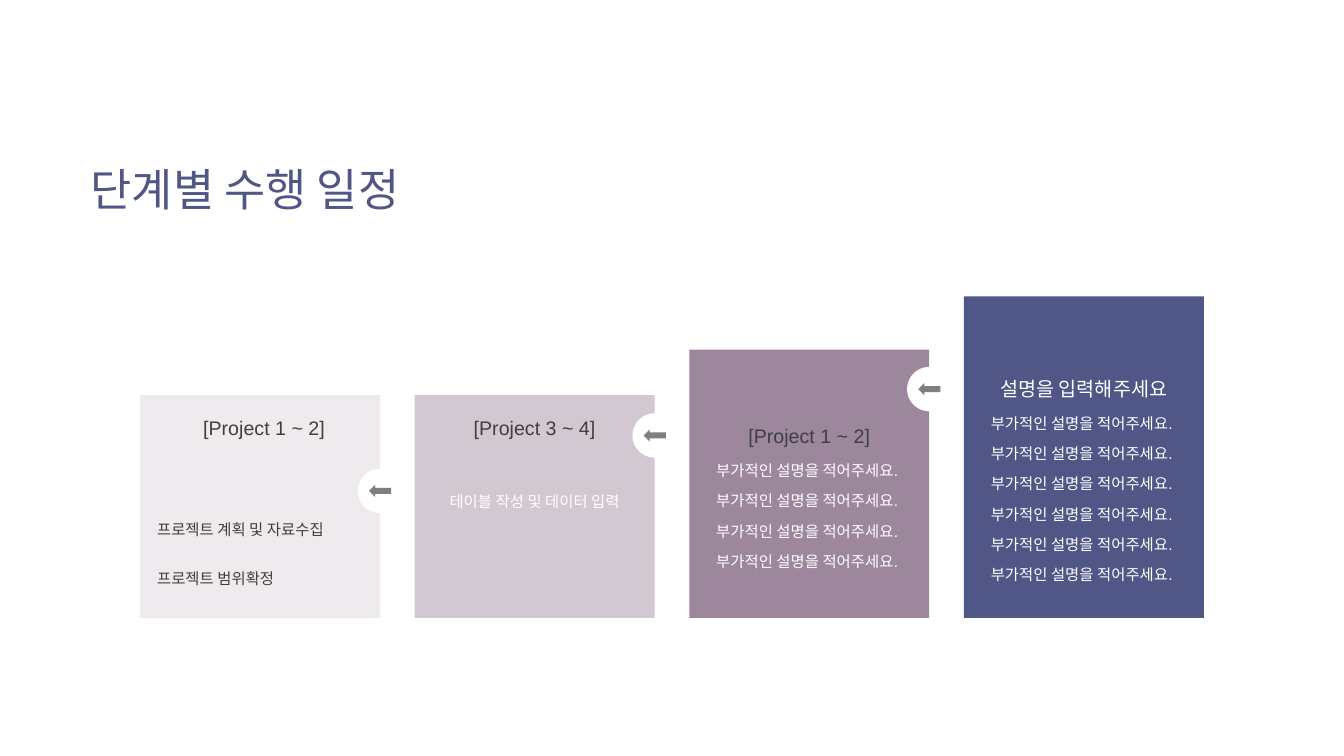
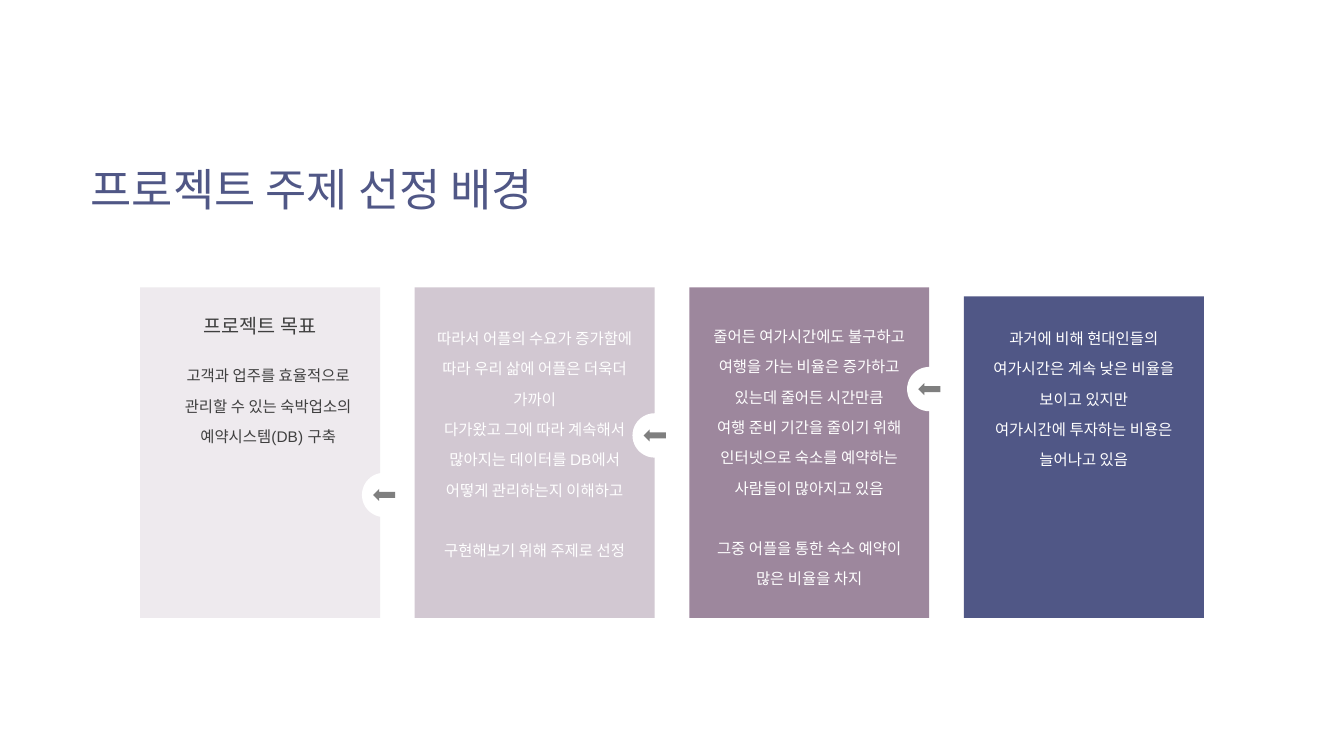
from dataclasses import dataclass

from pptx import Presentation
from pptx.dml.color import RGBColor
from pptx.enum.shapes import MSO_SHAPE
from pptx.enum.text import MSO_AUTO_SIZE, PP_ALIGN
from pptx.util import Inches, Pt

NAVY = RGBColor(0x50, 0x57, 0x86)
MAUVE = RGBColor(0x9D, 0x87, 0x9D)
LILAC = RGBColor(0xD2, 0xC8, 0xD2)
PALE = RGBColor(0xEE, 0xEA, 0xEE)
INK = RGBColor(0x3F, 0x3F, 0x3F)
GREY = RGBColor(0x7F, 0x7F, 0x7F)
WHITE = RGBColor(0xFF, 0xFF, 0xFF)
FONT = "Arial"

PAGE_WIDTH, PAGE_HEIGHT = 13.33, 7.5
GRID_LEFT, GRID_RIGHT, GRID_BOTTOM = 1.39, 11.94, 6.13
PANEL_WIDTH = 2.38
PANEL_FILLS = (PALE, LILAC, MAUVE, NAVY)
COLUMN_PITCH = (GRID_RIGHT - GRID_LEFT - PANEL_WIDTH) / (len(PANEL_FILLS) - 1)
HEADING_WIDTH, HEADING_HEIGHT = 1.86, 0.34
BODY_WIDTH = 2.24
BODY_HEIGHTS = (1.09, 1.09, 1.34, 1.85)
MARKER_SIZE = 0.44
ARROW_WIDTH, ARROW_HEIGHT = 0.22, 0.12

TIGHT, LOOSE = 1.29, 1.64
FILLER = "부가적인 설명을 적어주세요. "


@dataclass(frozen=True)
class Heading:
    text: str
    top: float
    color: RGBColor = INK
    shift: float = 0


@dataclass(frozen=True)
class Body:
    lines: tuple[str, ...]
    top: float
    color: RGBColor = WHITE
    shift: float = 0
    align: PP_ALIGN = PP_ALIGN.CENTER
    spacing: float = LOOSE
    last_gap: float = 0


@dataclass(frozen=True)
class Marker:
    top: float
    shift: float = 0


@dataclass(frozen=True)
class Panel:
    top: float
    body: Body
    heading: Heading | None = None
    marker: Marker | None = None


@dataclass(frozen=True)
class PageContent:
    title: str
    title_width: float
    panels: tuple[Panel, ...]


PAGES = (
    PageContent("단계별 수행 일정", 5.26, (
        Panel(3.92,
              Body(("프로젝트 계획 및 자료수집", "프로젝트 범위확정"), 5.06, INK,
                   align=PP_ALIGN.LEFT, spacing=TIGHT, last_gap=17.5),
              Heading("[Project 1 ~ 2]", 4.01, shift=0.04), Marker(4.65)),
        Panel(3.92, Body(("테이블 작성 및 데이터 입력",), 4.72),
              Heading("[Project 3 ~ 4]", 4.01), Marker(4.1)),
        Panel(3.47, Body((FILLER,) * 4, 4.41),
              Heading("[Project 1 ~ 2]", 4.09), Marker(3.64)),
        Panel(2.94, Body((FILLER,) * 6, 3.94),
              Heading("설명을 입력해주세요", 3.62, WHITE)),
    )),
    PageContent("프로젝트 주제 선정 배경", 7.14, (
        Panel(2.85,
              Body(("고객과 업주를 효율적으로 관리할 수 있는 숙박업소의 예약시스템(DB) 구축",),
                   3.47, INK, shift=0.08),
              Heading("프로젝트 목표", 3), Marker(4.69, 0.04)),
        Panel(2.85,
              Body(("따라서 어플의 수요가 증가함에 따라 우리 삶에 어플은 더욱더 가까이",
                    "다가왔고 그에 따라 계속해서 많아지는 데이터를 DB에서 어떻게 관리하는지 이해하고",
                    "구현해보기 위해 주제로 선정"), 3.1, last_gap=21.5),
              marker=Marker(4.1)),
        Panel(2.85,
              Body(("줄어든 여가시간에도 불구하고 여행을 가는 비율은 증가하고 있는데 줄어든 시간만큼",
                    "여행 준비 기간을 줄이기 위해 인터넷으로 숙소를 예약하는 사람들이 많아지고 있음",
                    "그중 어플을 통한 숙소 예약이 많은 비율을 차지"), 3.08, last_gap=21.5),
              marker=Marker(3.64)),
        Panel(2.94,
              Body(("과거에 비해 현대인들의 여가시간은 계속 낮은 비율을 보이고 있지만",
                    "여가시간에 투자하는 비용은 늘어나고 있음"), 3.1)),
    )),
)


def add_text(page, lines: tuple[str, ...], left: float, top: float,
             width: float, height: float, *, size: float, color: RGBColor,
             align: PP_ALIGN = PP_ALIGN.LEFT, spacing: float = 1,
             last_gap: float = 0, grow: bool = False) -> None:
    """Add a text box; last_gap is the space in points above the last line."""
    box = page.shapes.add_textbox(Inches(left), Inches(top), Inches(width), Inches(height))
    frame = box.text_frame
    frame.word_wrap = True
    frame.auto_size = MSO_AUTO_SIZE.SHAPE_TO_FIT_TEXT if grow else MSO_AUTO_SIZE.NONE
    for index, line in enumerate(lines):
        para = frame.add_paragraph() if index else frame.paragraphs[0]
        para.alignment = align
        para.line_spacing = spacing
        span = para.add_run()
        span.text = line
        span.font.name = FONT
        span.font.size = Pt(size)
        span.font.color.rgb = color
    if last_gap:
        para.space_before = Pt(last_gap)


def add_filled(shapes, kind: MSO_SHAPE, left: float, top: float,
               width: float, height: float, color: RGBColor):
    shape = shapes.add_shape(kind, Inches(left), Inches(top), Inches(width), Inches(height))
    shape.shadow.inherit = False
    shape.fill.solid()
    shape.fill.fore_color.rgb = color
    shape.line.fill.background()
    return shape


def panel_left(column: int) -> float:
    return GRID_LEFT + column * COLUMN_PITCH


def add_marker(page, column: int, marker: Marker) -> None:
    """Add a left-pointing arrow in a circle centred on the panel's right edge."""
    center = panel_left(column) + PANEL_WIDTH + marker.shift
    middle = marker.top + MARKER_SIZE / 2
    group = page.shapes.add_group_shape()
    add_filled(group.shapes, MSO_SHAPE.OVAL, center - MARKER_SIZE / 2, marker.top,
               MARKER_SIZE, MARKER_SIZE, WHITE)
    arrow = add_filled(group.shapes, MSO_SHAPE.RIGHT_ARROW, center - ARROW_WIDTH / 2,
                       middle - ARROW_HEIGHT / 2, ARROW_WIDTH, ARROW_HEIGHT, GREY)
    arrow.rotation = 180


def add_panel_text(page, column: int, panel: Panel) -> None:
    center = panel_left(column) + PANEL_WIDTH / 2
    body, heading = panel.body, panel.heading
    add_text(page, body.lines, center - BODY_WIDTH / 2 + body.shift, body.top,
             BODY_WIDTH, BODY_HEIGHTS[column], size=11, color=body.color,
             align=body.align, spacing=body.spacing, last_gap=body.last_gap)
    if heading:
        add_text(page, (heading.text,), center - HEADING_WIDTH / 2 + heading.shift,
                 heading.top, HEADING_WIDTH, HEADING_HEIGHT, size=14,
                 color=heading.color, align=PP_ALIGN.CENTER, spacing=TIGHT)


def add_page(deck, content: PageContent) -> None:
    page = deck.slides.add_slide(deck.slide_layouts[6])
    add_text(page, (content.title,), 0.8, 1.56, content.title_width, 0.64,
             size=32, color=NAVY, grow=True)
    for column, panel in enumerate(content.panels):
        add_filled(page.shapes, MSO_SHAPE.RECTANGLE, panel_left(column), panel.top,
                   PANEL_WIDTH, GRID_BOTTOM - panel.top, PANEL_FILLS[column])
    for column, panel in enumerate(content.panels):
        if panel.marker:
            add_marker(page, column, panel.marker)
    for column, panel in enumerate(content.panels):
        add_panel_text(page, column, panel)


def main() -> None:
    deck = Presentation()
    deck.slide_width = Inches(PAGE_WIDTH)
    deck.slide_height = Inches(PAGE_HEIGHT)
    for content in PAGES:
        add_page(deck, content)
    deck.save("out.pptx")


if __name__ == "__main__":
    main()
